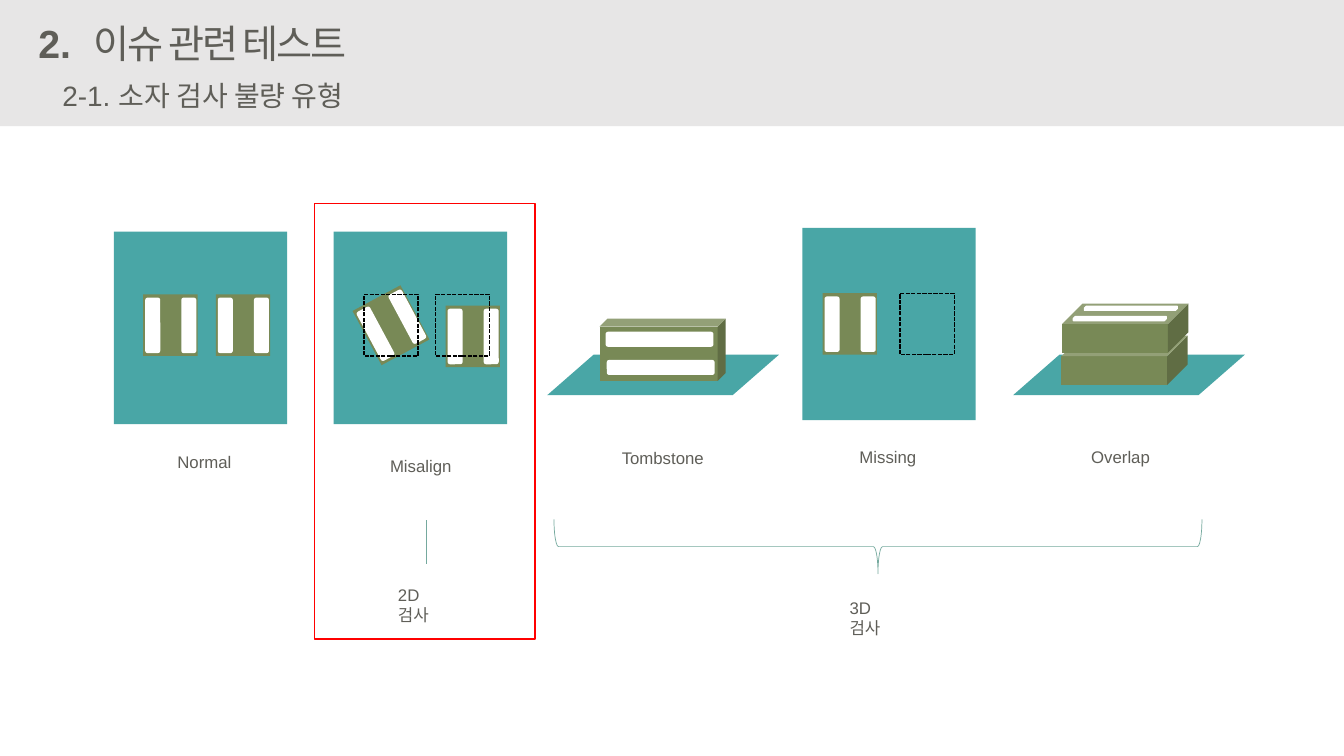
from dataclasses import dataclass
from typing import NamedTuple, Optional

from lxml.etree import SubElement
from pptx import Presentation
from pptx.dml.color import RGBColor
from pptx.enum.dml import MSO_LINE
from pptx.enum.shapes import MSO_CONNECTOR, MSO_SHAPE as Kind
from pptx.enum.text import MSO_AUTO_SIZE as Fit, PP_ALIGN as Align
from pptx.oxml.ns import qn
from pptx.util import Cm, Pt


@dataclass(frozen=True)
class Theme:
    board: str = "49A6A6"
    body: str = "788956"
    pad: str = "FFFFFF"
    header: str = "E7E6E6"
    text: str = "5F5E58"
    guide: str = "75A99E"
    ghost: str = "000000"
    highlight: str = "FF0000"
    latin: str = "Arial"
    korean: str = "Noto Sans CJK KR"
    title_size: int = 28
    subtitle_size: int = 20
    label_size: int = 12


class Box(NamedTuple):
    left: float
    top: float
    width: float
    height: float


class Label(NamedTuple):
    text: str
    box: Box
    wrap: bool = False


class Chip(NamedTuple):
    left: float
    top: float
    rotation: float = 0


THEME = Theme()
BOARD = (4.37, 4.85)
CHIP = (1.37, 1.55)
PLATE = (5.84, 1.02)
LABEL_HEIGHT = 0.76

BOARDS = [(2.87, 5.84), (8.41, 5.84), (20.22, 5.74)]
PLATES = [(13.79, 8.94), (25.53, 8.94)]
CHIPS = [
    Chip(3.61, 7.42),
    Chip(5.44, 7.42),
    Chip(9.17, 7.42, -28.2),
    Chip(11.23, 7.7),
    Chip(20.73, 7.39),
]
GHOSTS = [(9.17, 7.42), (10.97, 7.42), (22.68, 7.39)]
CHIP_PADS = [Box(0.05, 0.08, 0.38, 1.4), Box(0.96, 0.08, 0.38, 1.4)]
TOMBSTONE_PADS = [Box(16.43, 7.19, 0.38, 2.72), Box(16.46, 7.9, 0.38, 2.72)]
OVERLAP_PADS = [Box(27.05, 7.98, 2.34, 0.1), Box(27.33, 7.72, 2.34, 0.1)]
LABELS = [
    Label("Normal", Box(4.22, 11.25, 1.88, LABEL_HEIGHT)),
    Label("Misalign", Box(9.58, 11.35, 2.08, LABEL_HEIGHT)),
    Label("Tombstone", Box(15.42, 11.15, 2.59, LABEL_HEIGHT)),
    Label("Missing", Box(21.41, 11.13, 1.96, LABEL_HEIGHT)),
    Label("Overlap", Box(27.25, 11.13, 2.01, LABEL_HEIGHT)),
    Label("2D 검사", Box(9.78, 14.6, 1.5, LABEL_HEIGHT), wrap=True),
    Label("3D 검사", Box(21.16, 14.94, 1.5, LABEL_HEIGHT), wrap=True),
]


def add_shape(parent, kind: Kind, box: Box, *, fill: Optional[str] = None,
              line: Optional[str] = None, weight: float = 1, dashed: bool = False,
              rotation: float = 0, adjust: tuple = ()):
    shape = parent.shapes.add_shape(kind, *map(Cm, box))
    shape.shadow.inherit = False
    shape.rotation = rotation
    for index, value in enumerate(adjust):
        shape.adjustments[index] = value
    if fill:
        shape.fill.solid()
        shape.fill.fore_color.rgb = RGBColor.from_string(fill)
    else:
        shape.fill.background()
    if line:
        shape.line.color.rgb = RGBColor.from_string(line)
        shape.line.width = Pt(weight)
        if dashed:
            shape.line.dash_style = MSO_LINE.SQUARE_DOT
    else:
        shape.line.fill.background()
    return shape


def add_text(page, text: str, box: Box, *, size: int = THEME.label_size,
             font: str = THEME.latin, bold: bool = False, wrap: bool = False,
             align: Align = Align.LEFT, spacing: int = 0) -> None:
    frame = page.shapes.add_textbox(*map(Cm, box)).text_frame
    frame.word_wrap = wrap
    frame.auto_size = Fit.SHAPE_TO_FIT_TEXT
    para = frame.paragraphs[0]
    para.alignment = align
    span = para.add_run()
    span.text = text
    span.font.size = Pt(size)
    span.font.bold = bold
    span.font.name = font
    span.font.color.rgb = RGBColor.from_string(THEME.text)
    properties = span.font._element
    SubElement(properties, qn("a:ea")).set("typeface", THEME.korean)
    if spacing:
        properties.set("spc", str(spacing))


def add_chip(page, chip: Chip) -> None:
    group = page.shapes.add_group_shape()
    add_shape(group, Kind.RECTANGLE, Box(chip.left, chip.top, *CHIP), fill=THEME.body)
    for pad in CHIP_PADS:
        place = pad._replace(left=chip.left + pad.left, top=chip.top + pad.top)
        add_shape(group, Kind.ROUNDED_RECTANGLE, place, fill=THEME.pad)
    group.rotation = chip.rotation


def add_header(page) -> None:
    add_shape(page, Kind.RECTANGLE, Box(0, 0, 33.87, 3.18), fill=THEME.header)
    add_text(page, "2.", Box(0.69, 0.36, 1.35, 1.45), size=THEME.title_size,
             bold=True, align=Align.RIGHT)
    add_text(page, "이슈 관련 테스트", Box(2.11, 0.36, 7.67, 1.45),
             size=THEME.title_size, font=THEME.korean, spacing=-150)
    add_text(page, "2-1. 소자 검사 불량 유형", Box(1.32, 1.85, 8.23, 1.12),
             size=THEME.subtitle_size)


def add_flat_parts(page) -> None:
    for place in BOARDS:
        add_shape(page, Kind.RECTANGLE, Box(*place, *BOARD), fill=THEME.board)
    for chip in CHIPS:
        add_chip(page, chip)
    for place in GHOSTS:
        add_shape(page, Kind.RECTANGLE, Box(*place, *CHIP), line=THEME.ghost, dashed=True)


def add_raised_parts(page) -> None:
    for place in PLATES:
        add_shape(page, Kind.FLOWCHART_DATA, Box(*place, *PLATE), fill=THEME.board)
    add_shape(page, Kind.CUBE, Box(15.11, 8.03, 3.18, 1.57), fill=THEME.body, adjust=(0.129,))
    for pad in TOMBSTONE_PADS:
        add_shape(page, Kind.ROUNDED_RECTANGLE, pad, fill=THEME.pad, rotation=90)
    for left, top in [(26.75, 8.46), (26.77, 7.65)]:
        add_shape(page, Kind.CUBE, Box(left, top, 3.18, 1.24), fill=THEME.body, adjust=(0.415,))
    for pad in OVERLAP_PADS:
        stripe = add_shape(page, Kind.SNIP_2_DIAG_RECTANGLE, pad, fill=THEME.pad,
                           line=THEME.pad, adjust=(0, 0.5))
        stripe._element.spPr.find(qn("a:xfrm")).set("flipV", "1")


def add_guides(page) -> None:
    add_shape(page, Kind.RIGHT_BRACE, Box(21.44, 5.61, 1.37, 16.33),
              line=THEME.guide, weight=0.5, rotation=90)
    stem = page.shapes.add_connector(MSO_CONNECTOR.STRAIGHT,
                                     Cm(10.74), Cm(13.11), Cm(10.74), Cm(14.2))
    stem.line.color.rgb = RGBColor.from_string(THEME.guide)
    stem.line.width = Pt(0.5)
    SubElement(stem._element.spPr, qn("a:effectLst"))
    add_shape(page, Kind.RECTANGLE, Box(7.92, 5.13, 5.56, 10.97), line=THEME.highlight)


def main() -> None:
    deck = Presentation()
    deck.slide_width, deck.slide_height = Cm(33.87), Cm(19.05)
    page = deck.slides.add_slide(deck.slide_layouts[6])
    add_header(page)
    add_flat_parts(page)
    add_raised_parts(page)
    for label in LABELS:
        add_text(page, label.text, label.box, wrap=label.wrap)
    add_guides(page)
    deck.save("out.pptx")


if __name__ == "__main__":
    main()
